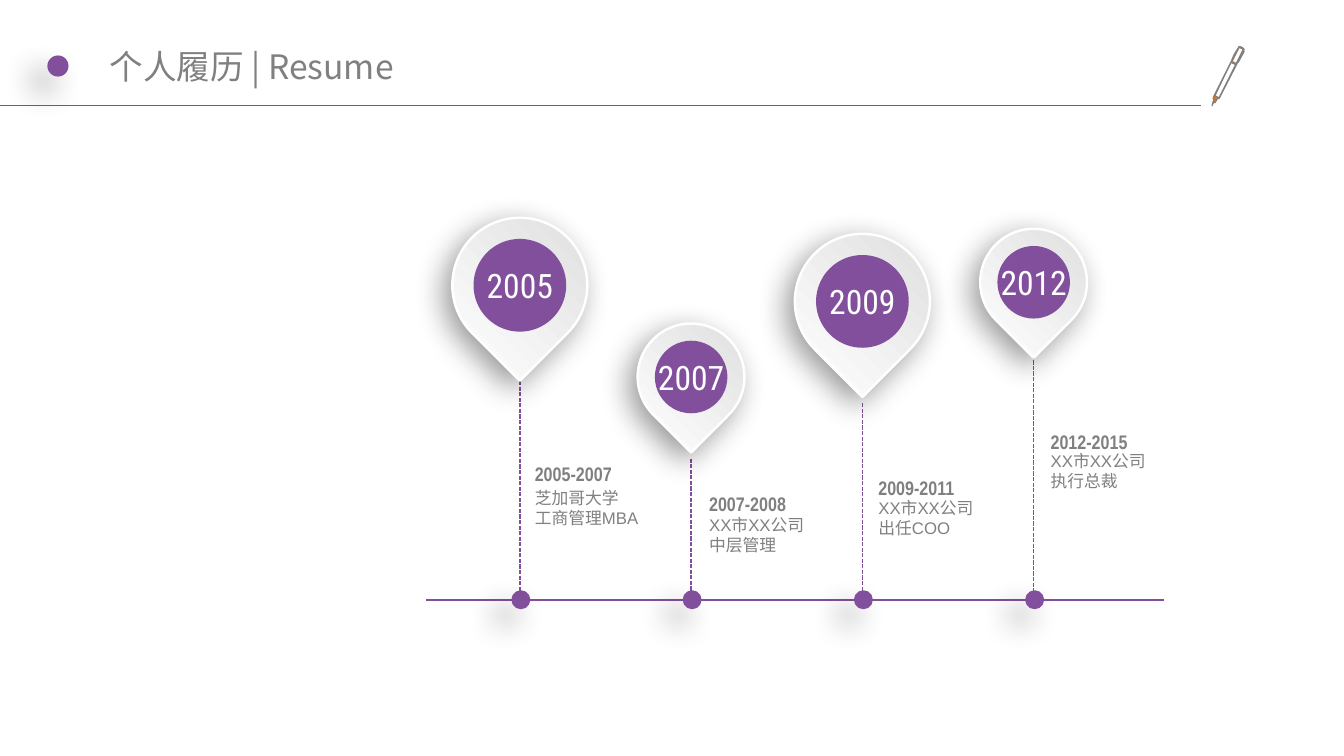
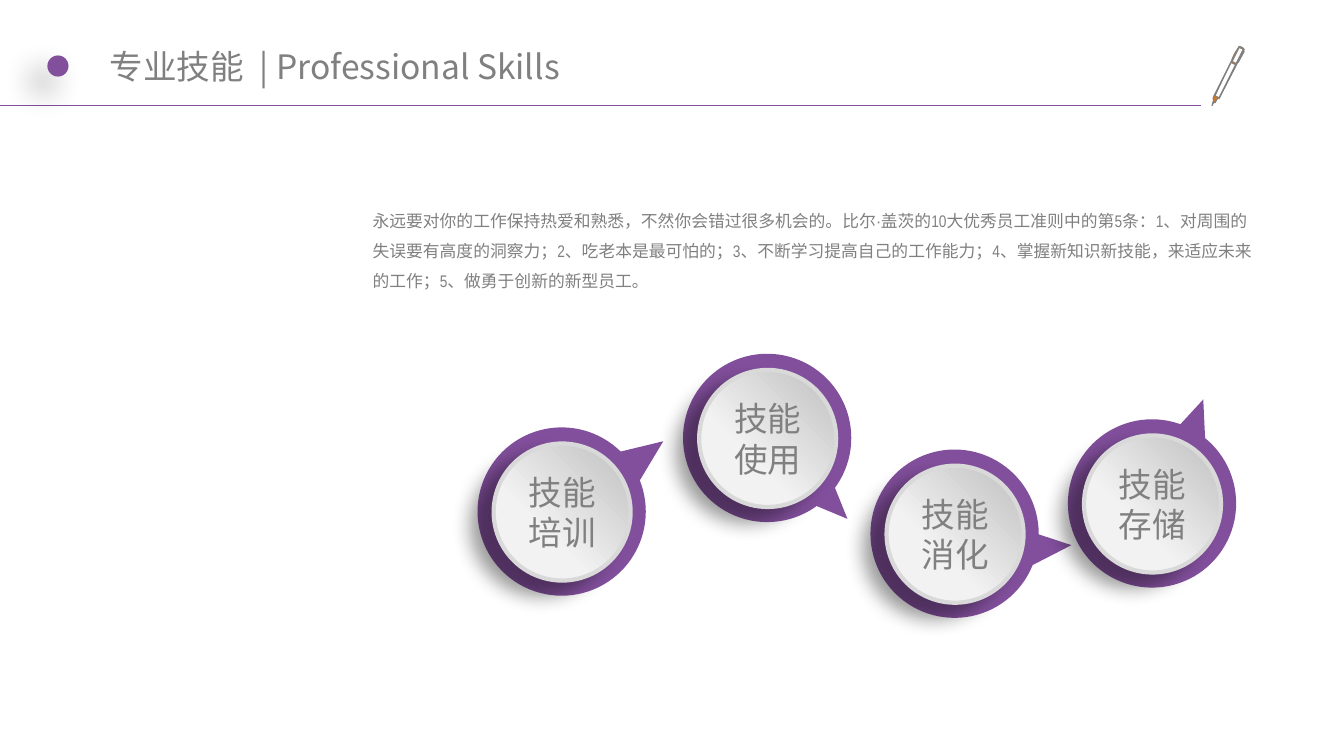
import math
from lxml import etree
from pptx import Presentation
from pptx import util as u
from pptx.dml.color import RGBColor
from pptx.enum import dml, shapes, text
from pptx.oxml import ns

PURPLE, GREY, WHITE = "824F9C", "808080", "FFFFFF"
CJK = "Noto Sans CJK SC"
DOT_SHADOW, PIN_SHADOW, DISC_SHADOW = (22, 15, 135), (22, 8, 135), (14, 18, 147)
OVAL = shapes.MSO_SHAPE.OVAL
STRAIGHT = shapes.MSO_CONNECTOR.STRAIGHT


def paint(sp, fill=None, line=None, width=0.75, shadow=None):
    if isinstance(fill, str):
        sp.fill.solid()
        sp.fill.fore_color.rgb = RGBColor.from_string(fill)
    elif fill:
        angle, stops = fill
        sp.fill.gradient()
        sp.fill.gradient_angle = angle
        for stop, (position, colour) in zip(sp.fill.gradient_stops, stops):
            stop.position = position
            stop.color.rgb = RGBColor.from_string(colour)
    if line:
        sp.line.color.rgb = RGBColor.from_string(line)
        sp.line.width = u.Pt(width)
    else:
        sp.line.fill.background()
    effects = etree.SubElement(sp._element.spPr, ns.qn("a:effectLst"))
    if shadow:
        blur, dist, angle = shadow
        outer = etree.SubElement(effects, ns.qn("a:outerShdw"), blurRad=str(u.Pt(blur)),
                                 dist=str(u.Pt(dist)), dir=str(angle * 60000),
                                 algn="ctr", rotWithShape="0")
        black = etree.SubElement(outer, ns.qn("a:srgbClr"), val="000000")
        etree.SubElement(black, ns.qn("a:alpha"), val="40000")


def write(sp, paragraphs, size, font, colour=GREY, bold=False, spacing=None,
          align=None, anchor=None, wrap=True):
    tf = sp.text_frame
    tf.word_wrap = wrap
    tf.vertical_anchor = anchor
    for i, runs in enumerate(paragraphs):
        p = tf.add_paragraph() if i else tf.paragraphs[0]
        p.alignment = align
        p.line_spacing = spacing
        for words in runs:
            r = p.add_run()
            r.text = words
            r.font.size = u.Pt(size)
            r.font.bold = bold
            r.font.name = font
            r.font.color.rgb = RGBColor.from_string(colour)
            etree.SubElement(r.font._element, ns.qn("a:ea"), typeface=CJK)
    return tf


prs = Presentation()
prs.slide_width, prs.slide_height = u.Inches(13.34), u.Inches(7.5)

pen_contours = [
    [(12.35, 0.49), (12.33, 0.47), (12.3, 0.46), (12.25, 0.54), (12.22, 0.61), (12.05, 0.95),
     (12.04, 0.98), (12.05, 0.99), (12.04, 1.01), (12.03, 1.05), (12.05, 1.01), (12.06, 1.02),
     (12.09, 0.97), (12.1, 0.98), (12.27, 0.65), (12.33, 0.52), (12.34, 0.52), (12.29, 0.62),
     (12.35, 0.51), (12.34, 0.5)],
    [(12.26, 0.65), (12.1, 0.97), (12.06, 0.95), (12.16, 0.74), (12.22, 0.62), (12.26, 0.64)],
    [(12.27, 0.63), (12.23, 0.61), (12.3, 0.47), (12.34, 0.49)],
]
titles = [("个人履历", "Resume", 0), ("专业技能", "Professional Skills", 5.7)]
slides = []
for chinese, english, gap in titles:
    s = prs.slides.add_slide(prs.slide_layouts[6])
    slides.append(s)
    rule = s.shapes.add_connector(STRAIGHT, 0, u.Inches(1.05), u.Inches(11.92), u.Inches(1.05))
    paint(rule, line=PURPLE)
    dot = s.shapes.add_shape(OVAL, u.Inches(0.47), u.Inches(0.55), u.Inches(0.21), u.Inches(0.21))
    paint(dot, PURPLE, shadow=DOT_SHADOW)

    pen = None
    for contour in pen_contours:
        points = [(u.Inches(x), u.Inches(y)) for x, y in contour]
        if pen:
            pen.move_to(*points[0])
        else:
            pen = s.shapes.build_freeform(*points[0])
        pen.add_line_segments(points[1:], close=True)
    paint(pen.convert_to_shape(), "DA751A", GREY)

    title = s.shapes.add_textbox(u.Inches(1.02), u.Inches(0.19), u.Inches(10.92), u.Inches(0.94))
    tf = write(title, [[chinese, " ", "| " + english]], 24, CJK, anchor=text.MSO_ANCHOR.MIDDLE)
    tf.margin_left = tf.margin_right = u.Inches(0.07)
    tf.margin_top = tf.margin_bottom = u.Inches(0.04)
    tf.paragraphs[0].runs[1].font._element.set("spc", str(round(gap * 100)))

resume, skills = slides

axis = resume.shapes.add_connector(STRAIGHT, u.Inches(4.23), u.Inches(5.95),
                                   u.Inches(11.55), u.Inches(5.95))
paint(axis, line=PURPLE, width=1.75)

milestones = [
    ("2005", 2.83, 0.67, 3.34, "2005-2007", 5.21, 4.49, 4.79, ["芝加哥大学", "工商管理MBA"]),
    ("2007", 3.74, 0.53, 4.55, "2007-2008", 6.94, 4.78, 5.06, ["XX市XX公司", "中层管理"]),
    ("2009", 2.99, 0.67, 4, "2009-2011", 8.62, 4.63, 4.89, ["XX市XX公司", "出任COO"]),
    ("2012", 2.8, 0.53, 3.52, "2012-2015", 10.33, 4.17, 4.42, ["XX市XX公司", "执行总裁"]),
]
for i, (year, cy, radius, stem_top, period, left, top, job_top, job) in enumerate(milestones):
    cx = 5.16 + 1.7 * i
    stem = resume.shapes.add_connector(STRAIGHT, u.Inches(cx), u.Inches(stem_top),
                                       u.Inches(cx), u.Inches(5.9))
    paint(stem, line=PURPLE, width=1)
    stem.line.dash_style = dml.MSO_LINE.SQUARE_DOT
    dot = resume.shapes.add_shape(OVAL, u.Inches(cx - 0.07), u.Inches(5.87),
                                  u.Inches(0.16), u.Inches(0.16))
    paint(dot, PURPLE, PURPLE, 2, DOT_SHADOW)

    box = resume.shapes.add_textbox(u.Inches(left), u.Inches(top), u.Inches(1.36), u.Inches(0.38))
    write(box, [[period]], 14, "Arial Narrow", bold=True, spacing=1.2)
    box = resume.shapes.add_textbox(u.Inches(left), u.Inches(job_top),
                                    u.Inches(1.46), u.Inches(0.63))
    write(box, [[words] for words in job], 12, "Arial")

    arc = [math.radians(a) for a in range(135, 406, 3)]
    points = [(u.Inches(cx + radius * math.cos(a)), u.Inches(cy + radius * math.sin(a)))
              for a in arc]
    points.append((u.Inches(cx), u.Inches(cy + radius * math.sqrt(2))))
    pin = resume.shapes.build_freeform(*points[0])
    pin.add_line_segments(points[1:], close=True)
    paint(pin.convert_to_shape(), (225, [(0, "E0E0E0"), (1, WHITE)]), WHITE, 1.75, PIN_SHADOW)

    core = 0.46 if radius > 0.6 else 0.36
    disc = resume.shapes.add_shape(OVAL, u.Inches(cx - core), u.Inches(cy - core),
                                   u.Inches(core * 2), u.Inches(core * 2))
    paint(disc, PURPLE)
    tf = write(disc, [[year]], 24, "Roboto Condensed", WHITE, align=text.PP_ALIGN.CENTER,
               anchor=text.MSO_ANCHOR.MIDDLE, wrap=False)
    tf.margin_left = tf.margin_right = tf.margin_top = tf.margin_bottom = 0

intro = skills.shapes.add_textbox(u.Inches(3.6), u.Inches(1.94), u.Inches(8.98), u.Inches(1.01))
write(intro, [["永远要对你的工作保持热爱和熟悉，不然你会错过很多机会的。"
               "比尔·盖茨的10大优秀员工准则中的第5条："
               "1、对周围的失误要有高度的洞察力；2、吃老本是最可怕的；"
               "3、不断学习提高自己的工作能力；4、掌握新知识新技能，来适应未来的工作；"
               "5、做勇于创新的新型员工。"]], 12, "Arial Narrow", spacing=1.5)

badges = [
    ("技能培训", 4.74, 4.24, 6.23, 4.29, 53.7),
    ("技能使用", 6.78, 3.51, 8.08, 4.78, 135.3),
    ("技能消化", 8.64, 4.46, 10.24, 5.21, 85.5),
    ("技能存储", 10.6, 4.16, 11.69, 3.95, 20),
]
for skill, left, top, tip_left, tip_top, turn in badges:
    tip = skills.shapes.add_shape(shapes.MSO_SHAPE.ISOSCELES_TRIANGLE, u.Inches(tip_left),
                                  u.Inches(tip_top), u.Inches(0.36), u.Inches(0.43))
    tip.rotation = turn
    paint(tip, PURPLE)
    ring = skills.shapes.add_shape(OVAL, u.Inches(left), u.Inches(top),
                                   u.Inches(1.67), u.Inches(1.67))
    paint(ring, PURPLE)
    disc = skills.shapes.add_shape(OVAL, u.Inches(left + 0.16), u.Inches(top + 0.16),
                                   u.Inches(1.36), u.Inches(1.36))
    paint(disc, (45, [(0.36, "F2F2F2"), (1, "BFBFBF")]), "D9D9D9", 3, DISC_SHADOW)
    write(disc, [[skill]], 24, "Arial Narrow", align=text.PP_ALIGN.CENTER,
          anchor=text.MSO_ANCHOR.MIDDLE)

prs.save("out.pptx")
